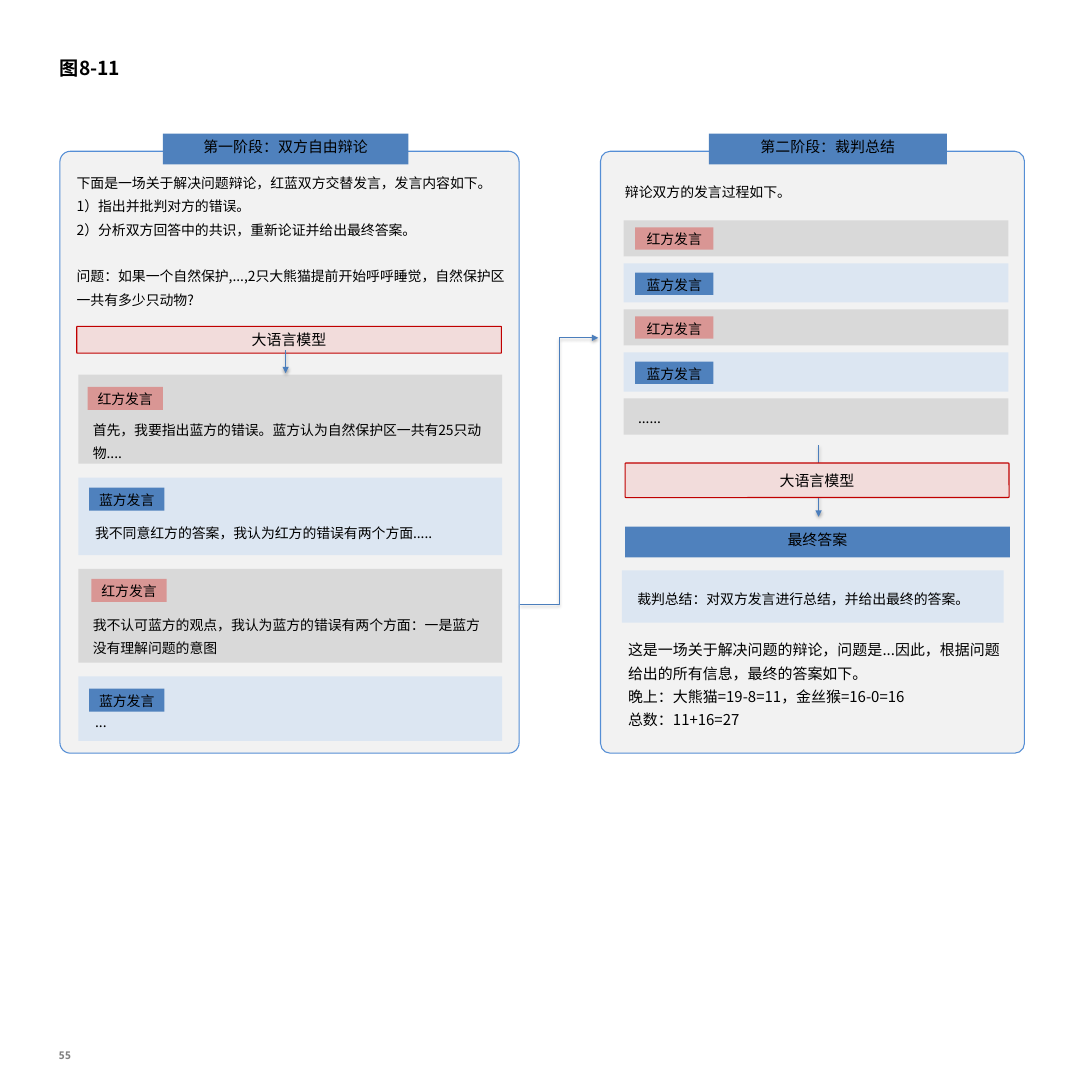
from dataclasses import dataclass

from lxml.etree import SubElement
from pptx import Presentation
from pptx.dml.color import RGBColor
from pptx.enum.shapes import MSO_CONNECTOR as CONN, MSO_SHAPE as SHAPE
from pptx.enum.text import MSO_ANCHOR as ANCHOR, MSO_AUTO_SIZE as AUTO, PP_ALIGN as ALIGN
from pptx.oxml import parse_xml
from pptx.oxml.ns import nsdecls, qn
from pptx.util import Inches, Pt

FONT = "Noto Sans CJK SC"
COLORS = {
    "text": "000000", "number": "808080", "panel": "F2F2F2", "panel_line": "558ED5",
    "header": "4F81BD", "model": "F2DCDB", "model_line": "C00000", "arrow": "4B7EBC",
    "red_row": "D9D9D9", "red_chip": "D99694", "blue_row": "DCE6F2", "blue_chip": "4F81BD",
}
SIDE_NAMES = {"red": "红方发言", "blue": "蓝方发言"}


@dataclass
class Box:
    left: float
    top: float
    width: float
    height: float


@dataclass
class Turn:
    """One speech of the debate; offsets are from the top of its row."""
    side: str
    height: float
    chip_left: float
    chip_offset: float
    text_left: float
    text_offset: float
    text: str


TURNS = [
    Turn("red", 1.16, 1.14, 0.16, 1.11, 0.47,
         "首先，我要指出蓝方的错误。蓝方认为自然保护区一共有25只动物...."),
    Turn("blue", 1.01, 1.16, 0.13, 1.14, 0.48,
         "我不同意红方的答案，我认为红方的错误有两个方面....."),
    Turn("red", 1.22, 1.19, 0.13, 1.11, 0.48,
         "我不认可蓝方的观点，我认为蓝方的错误有两个方面：一是蓝方没有理解问题的意图"),
    Turn("blue", 0.84, 1.16, 0.16, 1.14, 0.35, "..."),
]


def rgb(name: str) -> RGBColor:
    return RGBColor.from_string(COLORS[name])


def add_run(p, text: str, size: float, color: str = "text", bold: bool = False,
            font: str = FONT) -> None:
    r = p.add_run()
    r.text = text
    r.font.size = Pt(size)
    r.font.bold = bold
    r.font.color.rgb = rgb(color)
    r.font.name = font
    SubElement(r.font._element, qn("a:ea")).set("typeface", font)


def add_block(slide, box: Box, fill: str, text: str = "", size: float = 14,
              line: str = "", rounded: bool = False, anchor=ANCHOR.TOP) -> None:
    sp = slide.shapes.add_shape(
        SHAPE.ROUNDED_RECTANGLE if rounded else SHAPE.RECTANGLE,
        Inches(box.left), Inches(box.top), Inches(box.width), Inches(box.height))
    sp.shadow.inherit = False
    sp.fill.solid()
    sp.fill.fore_color.rgb = rgb(fill)
    if rounded:
        sp.adjustments[0] = 0.023
    if line:
        sp.line.color.rgb = rgb(line)
        sp.line.width = Pt(1)
    else:
        sp.line.fill.background()
    if text:
        tf = sp.text_frame
        tf.vertical_anchor = anchor
        p = tf.paragraphs[0]
        p.alignment = ALIGN.CENTER
        add_run(p, text, size)


def add_text(slide, box: Box, lines: list[str], size: float = 13, spacing: float = 1.4):
    tf = slide.shapes.add_textbox(Inches(box.left), Inches(box.top),
                                  Inches(box.width), Inches(box.height)).text_frame
    tf.word_wrap = True
    for i, line in enumerate(lines):
        p = tf.add_paragraph() if i else tf.paragraphs[0]
        p.line_spacing = spacing
        add_run(p, line, size)
    return tf


def add_panel(slide, box: Box, header: Box, title: str) -> None:
    add_block(slide, box, "panel", line="panel_line", rounded=True)
    add_block(slide, header, "header", title)


def add_model(slide, box: Box) -> None:
    add_block(slide, box, "model", "大语言模型", line="model_line", rounded=True,
              anchor=ANCHOR.MIDDLE)


def add_chip(slide, side: str, box: Box) -> None:
    add_block(slide, box, f"{side}_chip", SIDE_NAMES[side], 13)


def add_arrow(slide, kind, x1: float, y1: float, x2: float, y2: float) -> None:
    cxn = slide.shapes.add_connector(kind, Inches(x1), Inches(y1), Inches(x2), Inches(y2))
    cxn.line.color.rgb = rgb("arrow")
    cxn.line.width = Pt(0.75)
    SubElement(cxn.line._get_or_add_ln(), qn("a:tailEnd")).set("type", "triangle")
    cxn._element.spPr.append(parse_xml(
        f'<a:effectLst {nsdecls("a")}><a:outerShdw blurRad="{Pt(3.1)}" dist="{Pt(1.8)}" '
        'dir="5400000" rotWithShape="0"><a:srgbClr val="000000"><a:alpha val="35000"/>'
        '</a:srgbClr></a:outerShdw></a:effectLst>'))


def add_title(slide) -> None:
    title = slide.shapes.title
    title.left, title.top = Inches(0.65), Inches(0.57)
    title.width, title.height = Inches(12.8), Inches(0.63)
    tf = title.text_frame
    tf.auto_size = AUTO.NONE
    tf.vertical_anchor = ANCHOR.MIDDLE
    tf.margin_left = tf.margin_right = Inches(0.13)
    tf.margin_top = tf.margin_bottom = Inches(0.06)
    p = tf.paragraphs[0]
    p.alignment = ALIGN.LEFT
    add_run(p, "图8-11", 18, bold=True)


def add_page_number(slide) -> None:
    tf = slide.shapes.add_textbox(Inches(0.64), Inches(13.67),
                                  Inches(0.41), Inches(0.16)).text_frame
    tf.margin_left = tf.margin_right = tf.margin_top = tf.margin_bottom = 0
    p = tf.paragraphs[0]
    p.alignment = ALIGN.CENTER
    p.line_spacing = Pt(11.2)
    add_run(p, "55", 10, "number", True, "Noto Sans Mono")


def add_debate_stage(slide) -> None:
    add_panel(slide, Box(0.78, 1.97, 5.98, 7.84), Box(2.12, 1.74, 3.2, 0.4),
              "第一阶段：双方自由辩论")
    prompt = add_text(slide, Box(0.9, 2.14, 5.85, 1.9), [
        "下面是一场关于解决问题辩论，红蓝双方交替发言，发言内容如下。",
        "1）指出并批判对方的错误。",
        "2）分析双方回答中的共识，重新论证并给出最终答案。",
        "问题：如果一个自然保护,...,2只大熊猫提前开始呼呼睡觉，自然保护区一共有多少只动物?",
    ])
    prompt.paragraphs[-1].space_before = Pt(22)
    add_model(slide, Box(1, 4.25, 5.53, 0.35))
    top = 4.88
    for turn in TURNS:
        add_block(slide, Box(1.02, top, 5.52, turn.height), f"{turn.side}_row")
        add_chip(slide, turn.side, Box(turn.chip_left, top + turn.chip_offset, 0.98, 0.3))
        add_text(slide, Box(turn.text_left, top + turn.text_offset, 5.4, 0.49), [turn.text])
        top += turn.height + 0.18
    add_arrow(slide, CONN.STRAIGHT, 3.72, 4.56, 3.72, 4.86)


def add_judge_stage(slide) -> None:
    add_panel(slide, Box(7.82, 1.97, 5.52, 7.84), Box(9.23, 1.74, 3.1, 0.4),
              "第二阶段：裁判总结")
    add_text(slide, Box(8.04, 2.26, 5.02, 0.49), ["辩论双方的发言过程如下。"])
    top = 2.87
    for side in ("red", "blue") * 2:
        height, chip_offset = (0.47, 0.09) if side == "red" else (0.51, 0.12)
        add_block(slide, Box(8.12, top, 5.01, height), f"{side}_row")
        add_chip(slide, side, Box(8.27, top + chip_offset, 1.02, 0.29))
        top += height + 0.09
    add_block(slide, Box(8.12, top, 5.01, 0.47), "red_row")
    add_text(slide, Box(8.21, top + 0.01, 4.92, 0.49), ["......"])

    add_block(slide, Box(8.14, 6.86, 5.01, 0.4), "header", "最终答案")
    add_arrow(slide, CONN.STRAIGHT, 10.66, 5.8, 10.66, 6.73)
    add_model(slide, Box(8.14, 6.03, 5, 0.45))
    add_block(slide, Box(8.1, 7.43, 4.97, 0.68), "blue_row")
    add_text(slide, Box(8.2, 7.55, 4.89, 0.49),
             ["裁判总结：对双方发言进行总结，并给出最终的答案。"])
    add_text(slide, Box(8.08, 8.23, 5.21, 1.22), [
        "这是一场关于解决问题的辩论，问题是...因此，根据问题给出的所有信息，最终的答案如下。",
        "晚上：大熊猫=19-8=11，金丝猴=16-0=16",
        "总数：11+16=27",
    ], 14, 1.3)


def main() -> None:
    prs = Presentation()
    prs.slide_width, prs.slide_height = Inches(14.22), Inches(14.17)
    slide = prs.slides.add_slide(prs.slide_layouts[5])
    add_title(slide)
    add_page_number(slide)
    add_debate_stage(slide)
    add_arrow(slide, CONN.ELBOW, 6.77, 7.87, 7.79, 4.4)
    add_judge_stage(slide)
    prs.save("out.pptx")


if __name__ == "__main__":
    main()
